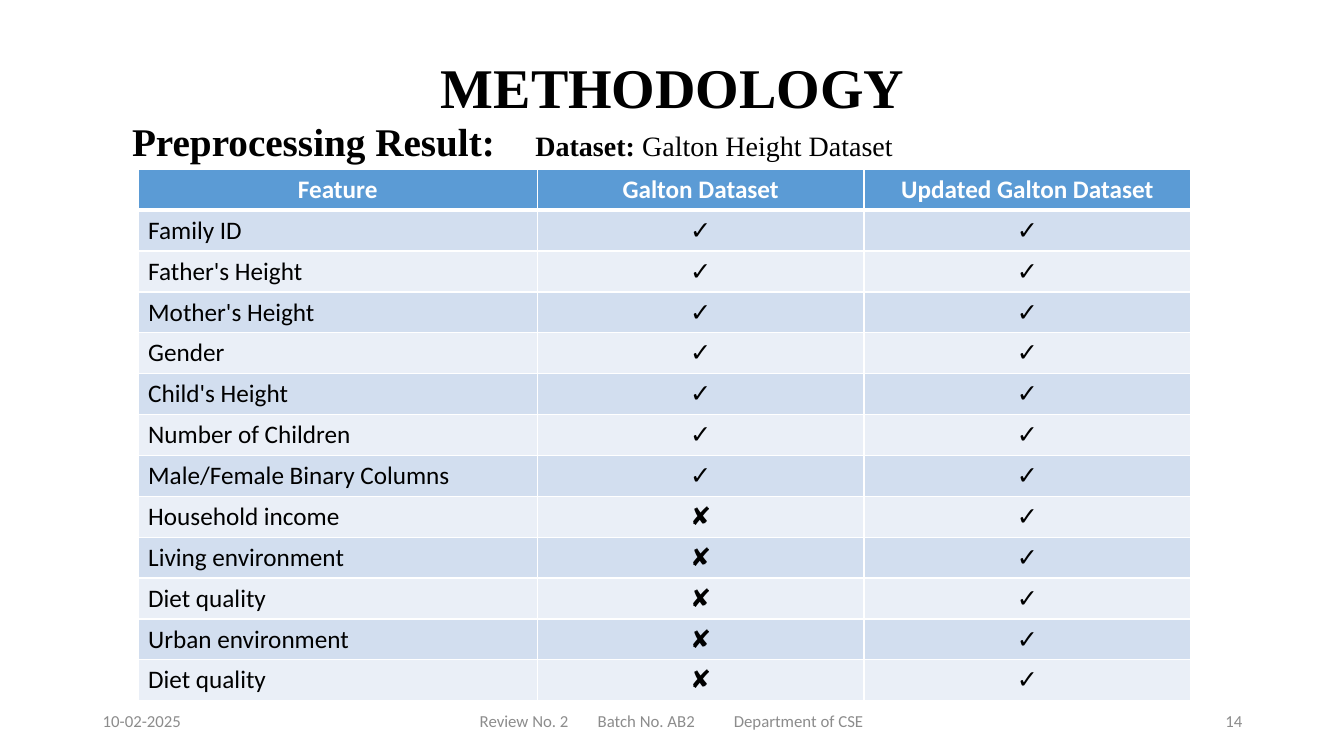
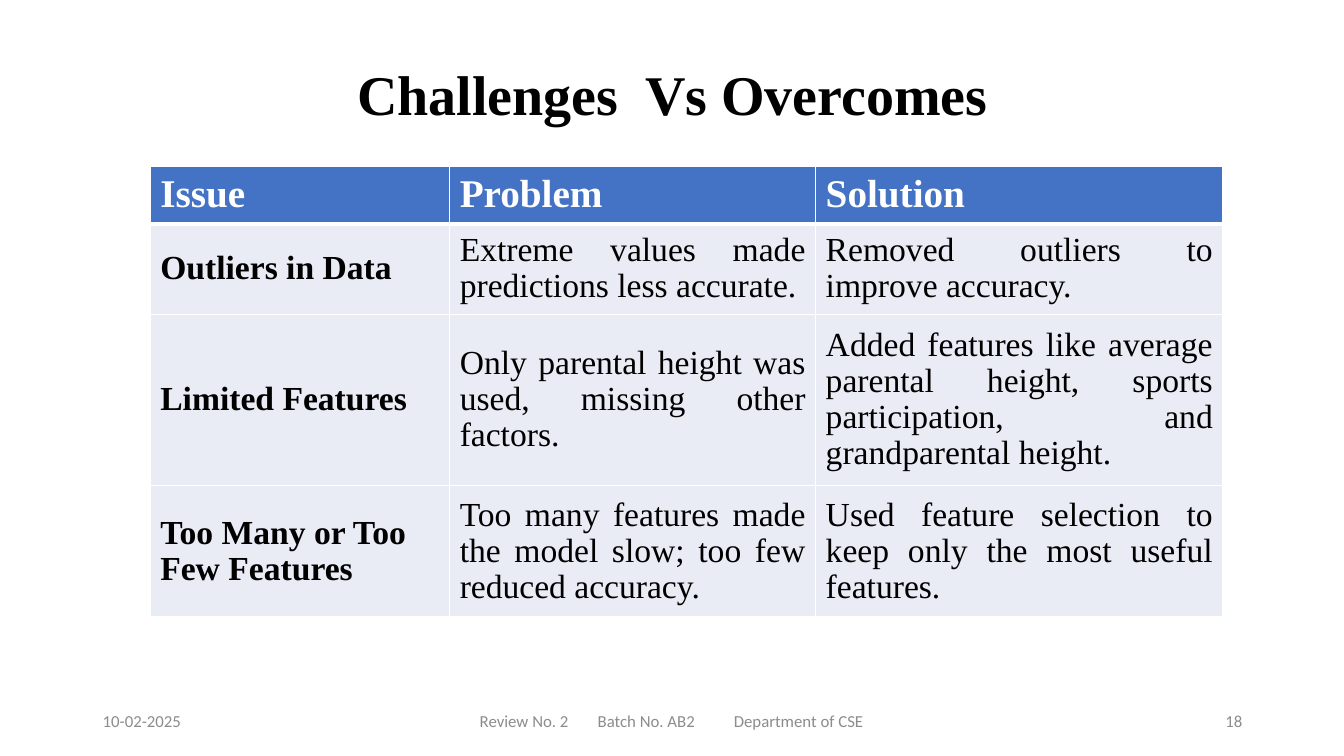
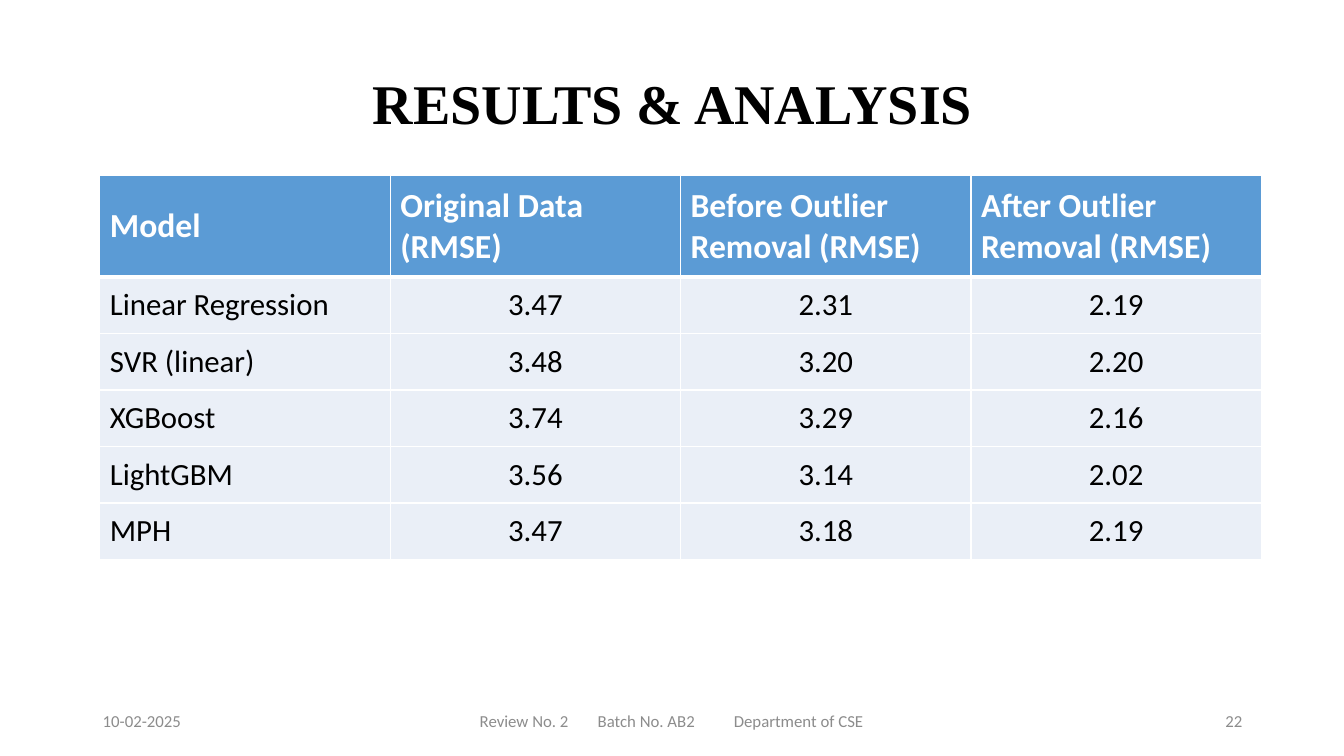
"""Build three review slides: a feature check table, a challenge table and a result table."""
from dataclasses import dataclass

from lxml import etree
from pptx import Presentation
from pptx.dml.color import RGBColor
from pptx.enum.text import MSO_ANCHOR, MSO_AUTO_SIZE, PP_ALIGN
from pptx.oxml.ns import qn
from pptx.util import Inches, Pt

LEFT, CENTER, RIGHT, JUSTIFY = PP_ALIGN.LEFT, PP_ALIGN.CENTER, PP_ALIGN.RIGHT, PP_ALIGN.JUSTIFY
TOP, MIDDLE = MSO_ANCHOR.TOP, MSO_ANCHOR.MIDDLE
TITLE_AND_BODY, TITLE_ONLY = 1, 5


@dataclass(frozen=True)
class Theme:
    serif: str = "Times New Roman"
    sans: str = "Calibri"
    ink: str = "000000"
    white: str = "FFFFFF"
    muted: str = "8C8C8C"
    sky: str = "5B9BD5"
    royal: str = "4472C4"
    sky_bands: tuple = ("D2DEEF", "EAEFF7")
    sky_pale: tuple = ("EAEFF7",)
    royal_pale: tuple = ("E9EBF5",)
    title: int = 40
    subtitle: int = 28
    large: int = 24
    medium: int = 22
    note: int = 20
    small: int = 18
    footer: int = 12
    rule: int = 1
    header_rule: int = 3


THEME = Theme()
YES, NO = "✓", "✘"
DATE = "10-02-2025"
REVIEW = "Review No. 2\tBatch No. AB2\tDepartment of CSE"
FOOTER_TOP, FOOTER_HEIGHT = 6.95, 0.4

ORIGINAL_FEATURES = ["Family ID", "Father's Height", "Mother's Height", "Gender",
                     "Child's Height", "Number of Children", "Male/Female Binary Columns"]
ADDED_FEATURES = ["Household income", "Living environment", "Diet quality",
                  "Urban environment", "Diet quality"]

SLIDES = [
    {
        "title": "METHODOLOGY", "title_top": 0.47, "page": "14",
        "subtitle": [("Preprocessing Result:\t", THEME.subtitle, True),
                     ("Dataset: ", THEME.note, True),
                     ("Galton Height Dataset", THEME.note, False)],
        "at": (1.37, 1.68), "columns": [3.96, 3.24, 3.24], "heights": [0.4] * 13,
        "font": THEME.sans, "sizes": (THEME.small, THEME.small),
        "head_fill": THEME.sky, "bands": THEME.sky_bands,
        "head_align": CENTER, "value_align": CENTER, "bold_labels": False, "spacing": 1.0,
        "rows": [("Feature", "Galton Dataset", "Updated Galton Dataset")]
                + [(feature, YES, YES) for feature in ORIGINAL_FEATURES]
                + [(feature, NO, YES) for feature in ADDED_FEATURES],
    },
    {
        "title": "Challenges  Vs Overcomes", "title_top": 0.54, "page": "18",
        "at": (1.49, 1.65), "columns": [2.97, 3.63, 4.04], "heights": [0.57, 0.9, 1.7, 1.3],
        "font": THEME.serif, "sizes": (THEME.subtitle, THEME.large),
        "head_fill": THEME.royal, "bands": THEME.royal_pale,
        "head_align": LEFT, "value_align": JUSTIFY, "bold_labels": True, "spacing": 0.97,
        "rows": [
            ("Issue", "Problem", "Solution"),
            ("Outliers in Data", "Extreme values made predictions less accurate.",
             "Removed outliers to improve accuracy."),
            ("Limited Features", "Only parental height was used, missing other factors.",
             "Added features like average parental height, sports participation, "
             "and grandparental height."),
            ("Too Many or Too Few Features",
             "Too many features made the model slow; too few reduced accuracy.",
             "Used feature selection to keep only the most useful features."),
        ],
    },
    {
        "title": "RESULTS & ANALYSIS", "title_top": 0.63, "page": "22",
        "at": (0.99, 1.74), "columns": [2.88] * 4, "heights": [1.01] + [0.56] * 5,
        "font": THEME.sans, "sizes": (THEME.large, THEME.medium),
        "head_fill": THEME.sky, "bands": THEME.sky_pale,
        "head_align": LEFT, "value_align": CENTER, "bold_labels": False, "spacing": 1.0,
        "rows": [
            ("Model", "Original Data (RMSE)", "Before Outlier Removal (RMSE)",
             "After Outlier Removal (RMSE)"),
            ("Linear Regression", "3.47", "2.31", "2.19"),
            ("SVR (linear)", "3.48", "3.20", "2.20"),
            ("XGBoost", "3.74", "3.29", "2.16"),
            ("LightGBM", "3.56", "3.14", "2.02"),
            ("MPH", "3.47", "3.18", "2.19"),
        ],
    },
]


def set_all(target, **values):
    for key, value in values.items():
        setattr(target, key, value)


def place(shape, left, top, width, height):
    set_all(shape, left=Inches(left), top=Inches(top),
            width=Inches(width), height=Inches(height))


def add_run(paragraph, text, font, size, color, bold=False):
    run = paragraph.add_run()
    run.text = text
    set_all(run.font, name=font, size=Pt(size), bold=bold)
    run.font.color.rgb = RGBColor.from_string(color)


def set_tabs(paragraph, *stops):
    tabs = etree.SubElement(paragraph._p.get_or_add_pPr(), qn("a:tabLst"))
    for position, side in stops:
        etree.SubElement(tabs, qn("a:tab"), pos=str(Inches(position)), algn=side)


def add_title(slide, text, top):
    title = slide.shapes.title
    place(title, 0.92, top, 11.5, 0.77)
    set_all(title.text_frame, auto_size=MSO_AUTO_SIZE.NONE, vertical_anchor=MIDDLE, word_wrap=True)
    paragraph = title.text_frame.paragraphs[0]
    paragraph.alignment = CENTER
    add_run(paragraph, text, THEME.serif, THEME.title, THEME.ink, True)


def add_subtitle(slide, parts):
    subtitle = slide.placeholders[1]
    place(subtitle, 1.21, 1.11, 11, 0.55)
    set_all(subtitle.text_frame, auto_size=MSO_AUTO_SIZE.NONE, vertical_anchor=TOP, word_wrap=True)
    paragraph = subtitle.text_frame.paragraphs[0]
    set_all(paragraph, alignment=LEFT, space_before=Pt(0))
    properties = paragraph._p.get_or_add_pPr()
    properties.set("marL", "0")
    properties.set("indent", "0")
    etree.SubElement(properties, qn("a:buNone"))
    set_tabs(paragraph, (10.44, "r"))
    for text, size, bold in parts:
        add_run(paragraph, text, THEME.serif, size, THEME.ink, bold)


def add_footer(slide, page):
    for text, left, width, align in [(DATE, 0.92, 3, LEFT), (REVIEW, 4.66, 4.5, LEFT),
                                     (page, 9.42, 3, RIGHT)]:
        box = slide.shapes.add_textbox(Inches(left), Inches(FOOTER_TOP),
                                       Inches(width), Inches(FOOTER_HEIGHT))
        set_all(box.text_frame, word_wrap=True, vertical_anchor=MIDDLE)
        paragraph = box.text_frame.paragraphs[0]
        paragraph.alignment = align
        if text == REVIEW:
            set_tabs(paragraph, (1.17, "l"), (2.52, "l"))
        add_run(paragraph, text, THEME.sans, THEME.footer, THEME.muted)


def set_borders(cell, row):
    heavy_sides = {0: "lnB", 1: "lnT"}
    for side in ("lnL", "lnR", "lnT", "lnB"):
        width = THEME.header_rule if heavy_sides.get(row) == side else THEME.rule
        line = etree.SubElement(cell._tc.get_or_add_tcPr(), qn("a:" + side), w=str(Pt(width)))
        fill = etree.SubElement(line, qn("a:solidFill"))
        etree.SubElement(fill, qn("a:srgbClr"), val=THEME.white)


def fill_cell(cell, text, row, column, design):
    header, label = row == 0, column == 0
    set_borders(cell, row)
    cell.fill.solid()
    bands = design["bands"]
    color = design["head_fill"] if header else bands[(row - 1) % len(bands)]
    cell.fill.fore_color.rgb = RGBColor.from_string(color)
    cell.vertical_anchor = MIDDLE
    body_align = LEFT if label else design["value_align"]
    paragraph = cell.text_frame.paragraphs[0]
    set_all(paragraph, alignment=design["head_align"] if header else body_align,
            line_spacing=design["spacing"])
    bold = header or text == YES or (label and design["bold_labels"])
    add_run(paragraph, text, design["font"], design["sizes"][0 if header else 1],
            THEME.white if header else THEME.ink, bold)


def add_grid(slide, design):
    rows, columns, heights = design["rows"], design["columns"], design["heights"]
    left, top = design["at"]
    table = slide.shapes.add_table(len(rows), len(columns), Inches(left), Inches(top),
                                   Inches(sum(columns)), Inches(sum(heights))).table
    for column, width in zip(table.columns, columns):
        column.width = Inches(width)
    for row, height in zip(table.rows, heights):
        row.height = Inches(height)
    for r, texts in enumerate(rows):
        for c, text in enumerate(texts):
            fill_cell(table.cell(r, c), text, r, c, design)


def main():
    deck = Presentation()
    set_all(deck, slide_width=Inches(13.33), slide_height=Inches(7.5))
    for design in SLIDES:
        layout = TITLE_AND_BODY if "subtitle" in design else TITLE_ONLY
        slide = deck.slides.add_slide(deck.slide_layouts[layout])
        add_title(slide, design["title"], design["title_top"])
        if "subtitle" in design:
            add_subtitle(slide, design["subtitle"])
        add_grid(slide, design)
        add_footer(slide, design["page"])
    deck.save("out.pptx")


if __name__ == "__main__":
    main()
